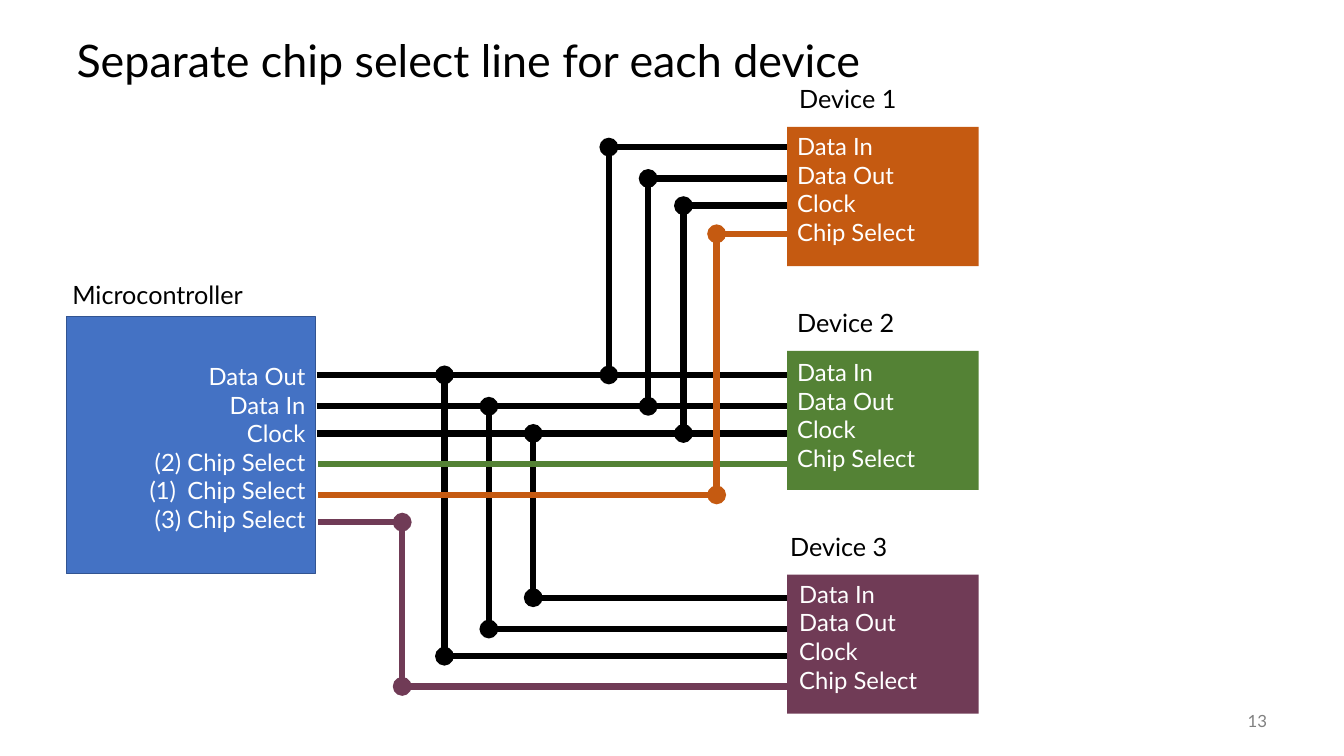
from pptx import Presentation
from pptx.dml.color import RGBColor
from pptx.enum.shapes import MSO_CONNECTOR, MSO_SHAPE
from pptx.enum.text import MSO_ANCHOR, PP_ALIGN
from pptx.oxml.ns import qn
from pptx.util import Pt
from lxml import etree

STRAIGHT, RECT = MSO_CONNECTOR.STRAIGHT, MSO_SHAPE.RECTANGLE
TOP, MIDDLE = MSO_ANCHOR.TOP, MSO_ANCHOR.MIDDLE
LEFT, RIGHT = PP_ALIGN.LEFT, PP_ALIGN.RIGHT

FONT = "Lato"
BLACK, WHITE, GREY = "000000", "FFFFFF", "808080"
BLUE, NAVY = "4472C4", "325491"
ORANGE, GREEN, PLUM = "C55A11", "548235", "703B56"

MCU = (47.5, 226.1, 177.8, 183.6)
PORT = 226.1            # left end of the shared bus
SELECT = 227.5          # left end of the chip select lines
EDGE = 562.3            # left side of the devices
WIDE, HIGH = 136.8, 99.4
BUS = (267.8, 290.2, 309.6)     # data out, data in, clock
RISE, DROP = -162.7, 159.1      # from the bus to devices 1 and 3
PINS = ("Data In", "Data Out", "Clock", "Chip Select")


def color(code):
    return RGBColor.from_string(code)


def fill_text(frame, lines, size=18, ink=BLACK, align=LEFT, anchor=TOP,
              space=None):
    frame.word_wrap = True
    frame.vertical_anchor = anchor
    for i, line in enumerate(lines):
        para = frame.paragraphs[0] if i == 0 else frame.add_paragraph()
        para.text = line
        para.alignment = align
        para.line_spacing = space
        font = para.runs[0].font
        font.name, font.size = FONT, Pt(size)
        font.color.rgb = color(ink)


def add_text(slide, box, lines, **style):
    frame = slide.shapes.add_textbox(*map(Pt, box)).text_frame
    fill_text(frame, lines, **style)
    return frame


def add_block(slide, box, fill, line=None):
    block = slide.shapes.add_shape(RECT, *map(Pt, box))
    block.shadow.inherit = False
    block.fill.solid()
    block.fill.fore_color.rgb = color(fill)
    if line:
        block.line.color.rgb = color(line)
        block.line.width = Pt(1)
    else:
        block.line.fill.background()


def add_wire(slide, start, end, ink=BLACK, dots=False):
    wire = slide.shapes.add_connector(STRAIGHT, *map(Pt, (*start, *end)))
    wire.line.color.rgb = color(ink)
    wire.line.width = Pt(4.5)
    props = wire._element.spPr
    if dots:
        for tag in ("a:headEnd", "a:tailEnd"):
            etree.SubElement(props.find(qn("a:ln")), qn(tag), type="oval")
    etree.SubElement(props, qn("a:effectLst"))


def add_title(slide, box, text):
    title = slide.shapes.title
    title.left, title.top, title.width, title.height = map(Pt, box)
    fill_text(title.text_frame, [text], size=32, anchor=MIDDLE, space=0.9)


def number(para, kind):
    props = para._p.get_or_add_pPr()
    props.set("marL", str(Pt(27)))
    props.set("indent", str(-Pt(27)))
    etree.SubElement(props, qn("a:buFont"), typeface=FONT)
    etree.SubElement(props, qn("a:buAutoNum"), type=kind)


def add_mcu(slide, box):
    x, y, w, h = box
    add_block(slide, box, BLUE, line=NAVY)
    add_text(slide, (x - 2.9, y - 30.3, w, 28.8), ["Microcontroller"])
    ports = ["Data Out", "Data In", "Clock",
             "(2) Chip Select", "Chip Select", "(3) Chip Select"]
    frame = add_text(slide, (x + 14.4, y + 28.8, w - 14.4, 131), ports,
                     size=17, ink=WHITE, align=RIGHT)
    number(frame.paragraphs[4], "arabicParenBoth")


def add_device(slide, box, name, fill, shift, inset):
    """Shift moves the name sideways; inset is the offset of the pin list."""
    x, y, w, h = box
    dx, dy = inset
    add_block(slide, box, fill)
    add_text(slide, (x + shift, y - 34.6, w, 28.8), [name])
    add_text(slide, (x + dx, y + dy, w, 90), PINS, size=17, ink=WHITE)


def add_bus(slide):
    """Draw the three shared lines with a branch to devices 1 and 3."""
    for y in BUS:
        add_wire(slide, (PORT, y), (EDGE, y))
    for xs, gap in (((434.9, 463, 488.2), RISE), ((317.5, 349.2, 380.9), DROP)):
        # the branches to device 3 reach its pins in reverse order
        ends = BUS if gap == RISE else BUS[::-1]
        for x, y, end in zip(xs, BUS, ends):
            add_wire(slide, (x, end + gap), (EDGE, end + gap))
            add_wire(slide, (x, y), (x, end + gap), dots=True)


def add_selects(slide):
    add_wire(slide, (SELECT, 331.2), (EDGE, 331.2), GREEN)
    for x, y, end, ink in ((511.9, 353.5, 167, ORANGE),
                           (287.3, 373, 490.3, PLUM)):
        add_wire(slide, (SELECT, y), (x, y), ink)
        add_wire(slide, (x, y), (x, end), ink, dots=True)
        add_wire(slide, (x, end), (EDGE + 1, end), ink)


def main():
    deck = Presentation()
    deck.slide_width, deck.slide_height = Pt(960), Pt(540)
    slide = deck.slides.add_slide(deck.slide_layouts[5])
    add_title(slide, (47.5, 18, 864, 54),
              "Separate chip select line for each device")
    add_text(slide, (840.2, 500.4, 72, 28.8), ["13"], size=12, ink=GREY,
             align=RIGHT, anchor=MIDDLE)
    add_mcu(slide, MCU)
    looks = ((ORANGE, 1.5, (0, 0)), (GREEN, 0, (0, 1.4)),
             (PLUM, -5, (1.5, 0)))
    for i, (fill, shift, inset) in enumerate(looks):
        box = (EDGE, 90.7 + i * 159.85, WIDE, HIGH)
        add_device(slide, box, f"Device {i + 1}", fill, shift, inset)
    add_bus(slide)
    add_selects(slide)
    deck.save("out.pptx")


if __name__ == "__main__":
    main()
